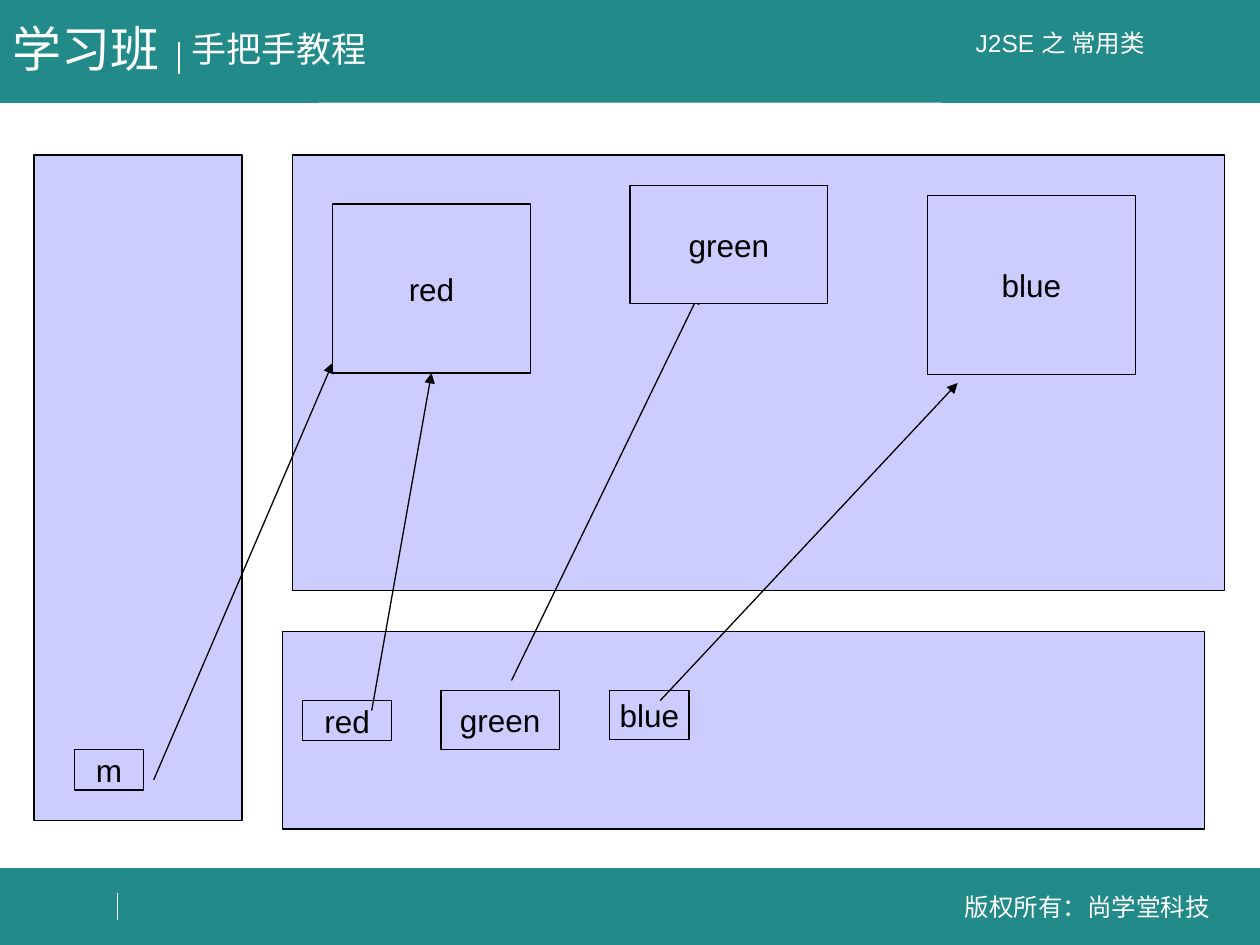
"""Build the J2SE slide showing how references point to the red, green and blue objects."""
from lxml import etree
from pptx import Presentation
from pptx.dml.color import RGBColor
from pptx.enum import shapes, text
from pptx.oxml import ns
from pptx.util import Inches, Pt

TEAL = RGBColor(0x22, 0x8A, 0x88)
LILAC = RGBColor(0xCC, 0xCC, 0xFF)
WHITE = RGBColor(0xFF, 0xFF, 0xFF)
BLACK = RGBColor(0, 0, 0)


def write(shape, words, size=18, color=BLACK, align=text.PP_ALIGN.CENTER,
          anchor=text.MSO_ANCHOR.MIDDLE, wrap=False):
    frame = shape.text_frame
    frame.auto_size = text.MSO_AUTO_SIZE.NONE
    frame.word_wrap = wrap
    frame.vertical_anchor = anchor
    paragraph = frame.paragraphs[0]
    paragraph.text = words
    paragraph.alignment = align
    paragraph.font.name = "Arial"
    paragraph.font.size = Pt(size)
    paragraph.font.color.rgb = color


class Board:
    def __init__(self, slide, font="Arial"):
        self.slide = slide
        self.font = font

    def box(self, left, top, width, height, words="", fill=LILAC, line=BLACK, weight=0.75):
        rect = self.slide.shapes.add_shape(
            shapes.MSO_SHAPE.RECTANGLE, Inches(left), Inches(top), Inches(width), Inches(height))
        rect.shadow.inherit = False
        rect.fill.solid()
        rect.fill.fore_color.rgb = fill
        rect.line.color.rgb = line
        rect.line.width = Pt(weight)
        if words:
            write(rect, words)
        return rect

    def band(self, top, height):
        return self.box(0, top, 10, height, fill=TEAL, line=TEAL, weight=0.25)

    def label(self, left, top, width, height, words, **style):
        area = self.slide.shapes.add_textbox(
            Inches(left), Inches(top), Inches(width), Inches(height))
        write(area, words, color=WHITE, **style)

    def title(self, left, top, width, height, words, **style):
        heading = self.slide.shapes.title
        heading.left, heading.top = Inches(left), Inches(top)
        heading.width, heading.height = Inches(width), Inches(height)
        write(heading, words, color=WHITE, wrap=True, **style)
        heading.element.getparent().append(heading.element)

    def line(self, x1, y1, x2, y2, color=WHITE):
        rule = self.slide.shapes.add_connector(
            shapes.MSO_CONNECTOR.STRAIGHT, Inches(x1), Inches(y1), Inches(x2), Inches(y2))
        rule.line.color.rgb = color
        rule.line.width = Pt(0.75)
        etree.SubElement(rule.element.spPr, ns.qn("a:effectLst"))
        return rule

    def arrow(self, x1, y1, x2, y2):
        pointer = self.line(x1, y1, x2, y2, BLACK)
        outline = pointer.element.spPr.find(ns.qn("a:ln"))
        etree.SubElement(outline, ns.qn("a:tailEnd"), type="triangle")
        return pointer


def main():
    deck = Presentation()
    deck.slide_width, deck.slide_height = Inches(10), Inches(7.5)
    board = Board(deck.slides.add_slide(deck.slide_layouts[5]))

    board.band(6.89, 0.61)
    board.band(0, 0.81)
    board.line(1.42, 0.33, 1.42, 0.59)
    board.line(0.93, 7.09, 0.93, 7.3)
    heading = dict(align=text.PP_ALIGN.LEFT, anchor=text.MSO_ANCHOR.TOP)
    board.label(1.42, 0.17, 1.59, 0.44, "手把手教程", size=20, **heading)
    board.label(7.47, 7.03, 2.32, 0.34, "版权所有：尚学堂科技", size=14, wrap=True)
    board.title(6.83, 0.17, 3.17, 0.34, "J2SE 之 常用类", size=14)
    board.label(0, 0.1, 1.36, 0.57, "学习班", size=28, **heading)

    for stack_heap_data in ((0.27, 1.23, 1.65, 5.28), (2.32, 1.23, 7.4, 3.46),
                            (2.24, 5.01, 7.32, 1.57)):
        board.box(*stack_heap_data)
    board.box(2.4, 5.56, 0.71, 0.32, "red")
    board.box(3.5, 5.48, 0.94, 0.47, "green")
    board.box(4.84, 5.48, 0.63, 0.39, "blue")

    red_object = board.box(2.64, 1.62, 1.57, 1.34, "red")
    board.arrow(2.95, 5.64, 3.43, 2.96).end_connect(red_object, 2)
    board.arrow(4.06, 5.4, 5.55, 2.33)
    board.box(5, 1.47, 1.57, 0.94, "green")
    board.arrow(5.24, 5.56, 7.6, 3.04)
    board.box(7.36, 1.55, 1.65, 1.42, "blue")
    board.box(0.59, 5.95, 0.55, 0.32, "m")
    board.arrow(1.22, 6.19, 2.64, 2.88)

    deck.save("out.pptx")


if __name__ == "__main__":
    main()
